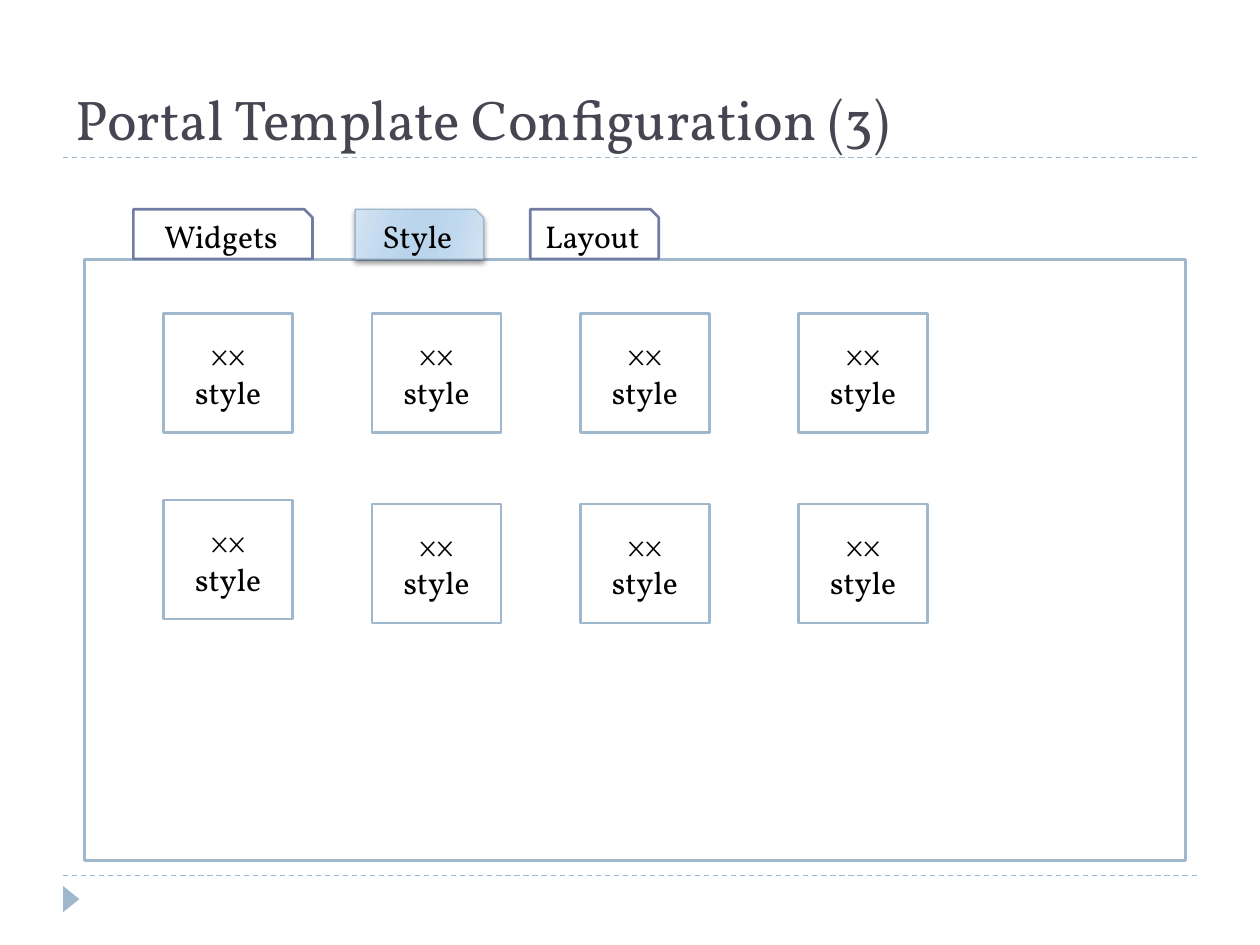
import lxml.etree
import pptx
import pptx.dml.color
import pptx.enum.dml
import pptx.enum.shapes
import pptx.enum.text
import pptx.oxml
import pptx.oxml.ns
import pptx.util

Cm = pptx.util.Cm
Pt = pptx.util.Pt
RGBColor = pptx.dml.color.RGBColor
SHAPES = pptx.enum.shapes.MSO_SHAPE
qn = pptx.oxml.ns.qn

WHITE = RGBColor(0xFF, 0xFF, 0xFF)
BLACK = RGBColor(0x00, 0x00, 0x00)
SLATE = RGBColor(0x46, 0x46, 0x53)
PALE_BLUE = RGBColor(0x9F, 0xB8, 0xCD)
INDIGO = RGBColor(0x72, 0x7C, 0xA3)
GLOW_EDGE = RGBColor(0xD3, 0xE3, 0xF2)
GLOW_MIDDLE = RGBColor(0xC0, 0xD8, 0xEE)
GLOW_CENTRE = RGBColor(0xBA, 0xD4, 0xEC)

TITLE_FORMAT = {"name": "Vollkorn", "size": Pt(32)}
LABEL_FORMAT = {"name": "Vollkorn", "size": Pt(18)}
FRAME_FORMAT = {"vertical_anchor": pptx.enum.text.MSO_ANCHOR.MIDDLE, "word_wrap": True}


def write_lines(frame, lines, font_format, color, alignment):
    frame.text = "\n".join(lines)
    for paragraph in frame.paragraphs:
        paragraph.alignment = alignment
        font = paragraph.runs[0].font
        for attribute, value in font_format.items():
            setattr(font, attribute, value)
        font.color.rgb = color


def add_box(preset, left, top, width, height, outline, weight, lines=()):
    box = slide.shapes.add_shape(preset, Cm(left), Cm(top), Cm(width), Cm(height))
    box.shadow.inherit = False
    box.fill.solid()
    box.fill.fore_color.rgb = WHITE
    box.line.color.rgb = outline
    box.line.width = Pt(weight)
    if lines:
        for attribute, value in FRAME_FORMAT.items():
            setattr(box.text_frame, attribute, value)
        write_lines(box.text_frame, lines, LABEL_FORMAT, BLACK, pptx.enum.text.PP_ALIGN.CENTER)
    return box


deck = pptx.Presentation()
deck.slide_width = Cm(25.4)
deck.slide_height = Cm(19.05)
slide = deck.slides.add_slide(deck.slide_layouts[5])

for divider_top in (17.65, 3.18):
    divider = slide.shapes.add_connector(
        pptx.enum.shapes.MSO_CONNECTOR.STRAIGHT,
        Cm(1.27), Cm(divider_top), Cm(24.13), Cm(divider_top))
    divider.line.color.rgb = PALE_BLUE
    divider.line.width = Pt(0.75)
    divider.line.dash_style = pptx.enum.dml.MSO_LINE.DASH
    lxml.etree.SubElement(divider._element.spPr, qn("a:effectLst"))

page_marker = add_box(SHAPES.ISOSCELES_TRIANGLE, 1.17, 17.96, 0.53, 0.33, PALE_BLUE, 0.75)
page_marker.rotation = 90
page_marker.fill.fore_color.rgb = PALE_BLUE
page_marker.line.fill.background()

title = slide.shapes.title
title_place = {"left": Cm(1.27), "top": Cm(0.64), "width": Cm(22.86), "height": Cm(2.54)}
for attribute, value in title_place.items():
    setattr(title, attribute, value)
title.text_frame.vertical_anchor = pptx.enum.text.MSO_ANCHOR.BOTTOM
write_lines(title.text_frame, ["Portal Template Configuration (3)"],
            TITLE_FORMAT, SLATE, pptx.enum.text.PP_ALIGN.LEFT)

add_box(SHAPES.RECTANGLE, 1.7, 5.23, 22.2, 12.12, PALE_BLUE, 1.5)

tabs = {}
for tab_name, left, width, outline, weight in (
        ("Style", 7.16, 2.59, PALE_BLUE, 0.75),
        ("Layout", 10.69, 2.59, INDIGO, 1.5),
        ("Widgets", 2.69, 3.61, INDIGO, 1.5)):
    tabs[tab_name] = add_box(SHAPES.SNIP_1_RECTANGLE, left, 4.22, width, 1,
                             outline, weight, [tab_name])

active_tab = tabs["Style"]
active_tab.fill.gradient()
active_tab.fill.gradient_angle = 344
glow_stops = active_tab._element.spPr.find(qn("a:gradFill")).find(qn("a:gsLst"))
for stop in list(glow_stops):
    glow_stops.remove(stop)
for percent, color in ((0, GLOW_EDGE), (30, GLOW_MIDDLE), (45, GLOW_CENTRE),
                       (55, GLOW_CENTRE), (73, GLOW_MIDDLE), (100, GLOW_EDGE)):
    stop = lxml.etree.SubElement(glow_stops, qn("a:gs"), pos=str(percent * 1000))
    lxml.etree.SubElement(stop, qn("a:srgbClr"), val=str(color))

effects = active_tab._element.spPr.find(qn("a:effectLst"))
tab_shadow = lxml.etree.SubElement(
    effects, qn("a:outerShdw"), blurRad=str(Pt(3)), dist=str(Pt(2)),
    dir="5400000", rotWithShape="0")
shadow_color = lxml.etree.SubElement(tab_shadow, qn("a:srgbClr"), val=str(BLACK))
lxml.etree.SubElement(shadow_color, qn("a:alpha"), val="40000")

for card_tops in ((6.32,) * 4, (10.08, 10.16, 10.16, 10.16)):
    for left, top in zip((3.3, 7.5, 11.7, 16.1), card_tops):
        add_box(SHAPES.RECTANGLE, left, top, 2.6, 2.4, PALE_BLUE, 1.5, ["××", "style"])

deck.save("out.pptx")
